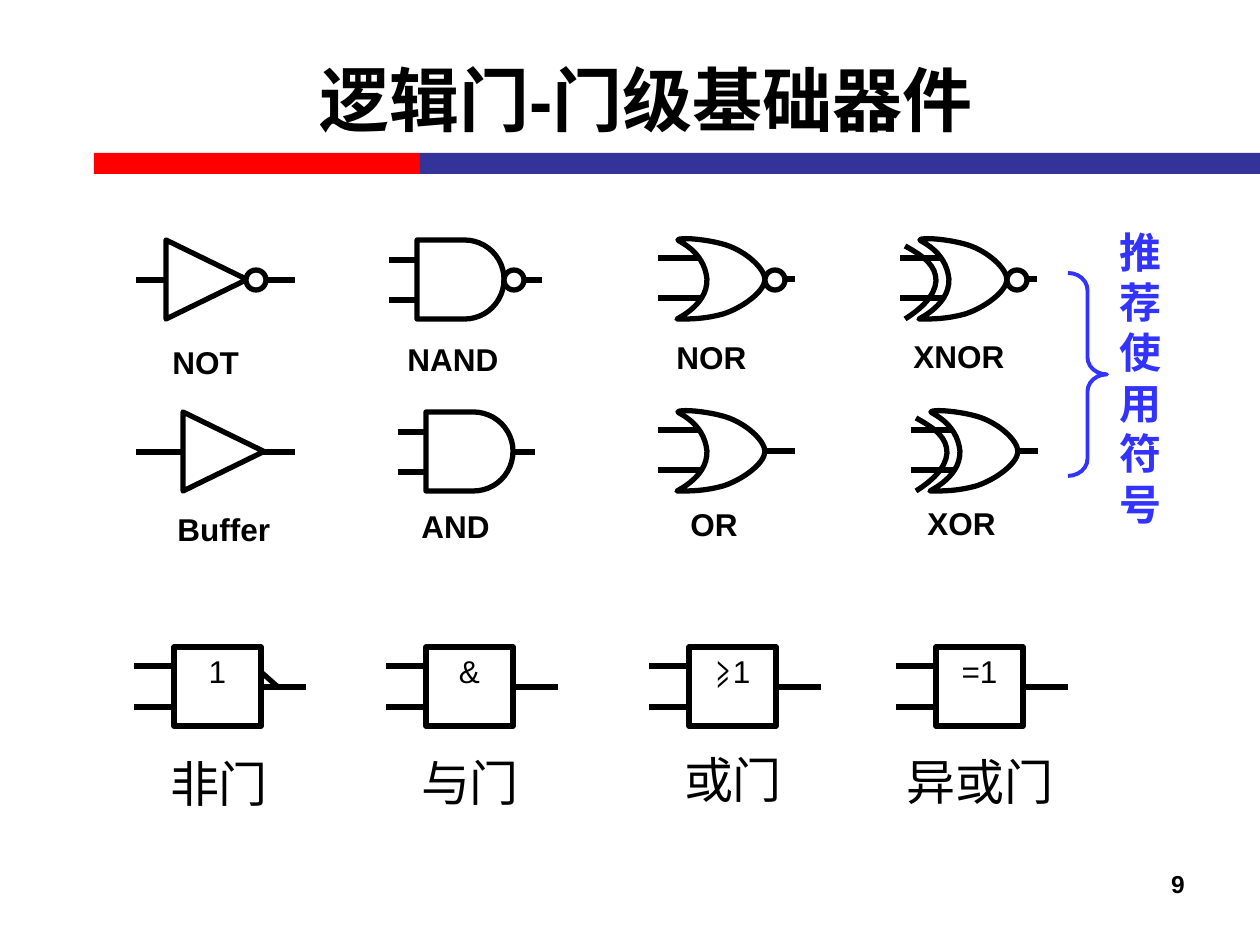
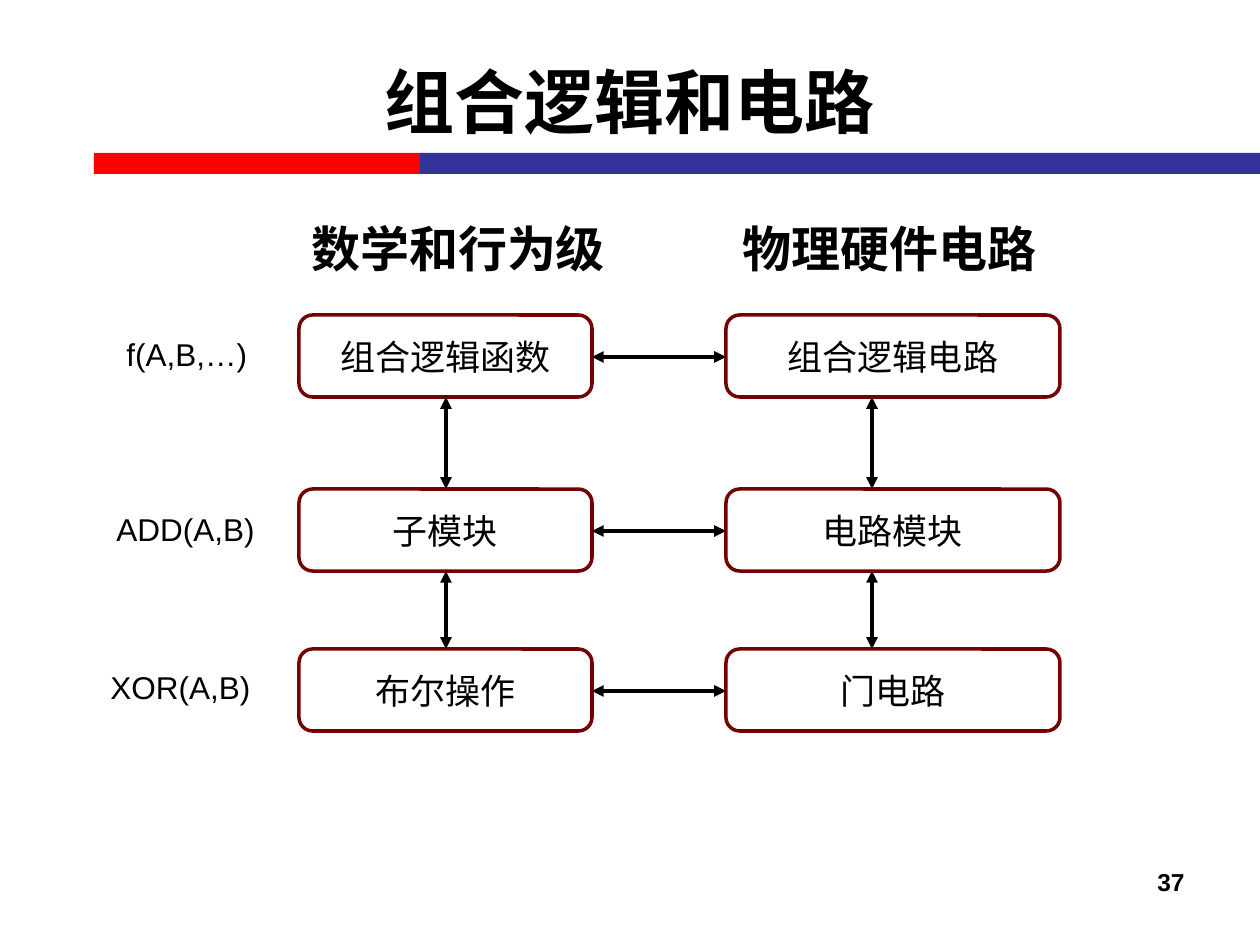
from lxml.etree import SubElement
from pptx import Presentation
from pptx.dml.color import RGBColor
from pptx.enum.shapes import MSO_CONNECTOR, MSO_SHAPE
from pptx.enum.text import MSO_ANCHOR, PP_ALIGN
from pptx.oxml.ns import qn
from pptx.util import Emu, Pt

EMU_PER_PX = 914400 / 126
BLACK, WHITE, RED, NAVY = "000000", "FFFFFF", "FF0000", "333399"
BLUE, MAROON = "3333FF", "740101"
LATIN, CHINESE = "Arial", "Noto Sans CJK SC"
GATE_W, GATE_H, BUBBLE = 87, 79, 20

OR_START = (0, 0)
OR_CURVES = [
    ((-1, 1), (26, 10), (29, 39)),
    ((30, 68), (-8, 81), (0, 79)),
    ((14, 79), (26, 79), (45, 74)),
    ((64, 68), (86, 52), (87, 40)),
    ((87, 28), (67, 11), (48, 5)),
    ((29, -1), (1, -3), (0, 0)),
]
XOR_START = (-15, 6)
XOR_CURVES = [((5, 17), (16, 26), (16, 41)), ((15, 56), (1, 69), (-15, 79))]


def px(length):
    return Emu(round(length * EMU_PER_PX))


def color(value):
    return RGBColor.from_string(value)


def style(shape, fill, line, width):
    shape.shadow.inherit = False
    if fill:
        shape.fill.solid()
        shape.fill.fore_color.rgb = color(fill)
    else:
        shape.fill.background()
    if line:
        shape.line.color.rgb = color(line)
        shape.line.width = Pt(width)
    else:
        shape.line.fill.background()
    return shape


def add_preset(slide, kind, x, y, w, h, fill=WHITE, line=BLACK, width=3):
    shape = slide.shapes.add_shape(kind, px(x), px(y), px(w), px(h))
    return style(shape, fill, line, width)


def add_turned(slide, kind, x, y, w, h):
    shift = (w - h) / 2
    shape = add_preset(slide, kind, x + shift, y - shift, h, w)
    shape.rotation = 90
    return shape


def add_wire(slide, x1, y1, x2, y2, width=3, arrows=False):
    wire = slide.shapes.add_connector(
        MSO_CONNECTOR.STRAIGHT, px(x1), px(y1), px(x2), px(y2))
    wire.line.color.rgb = color(BLACK)
    wire.line.width = Pt(width)
    if arrows:
        outline = wire.line._get_or_add_ln()
        for end in ("a:headEnd", "a:tailEnd"):
            SubElement(outline, qn(end)).set("type", "triangle")
    SubElement(wire._element.spPr, qn("a:effectLst"))


def add_curve(slide, x, y, start, curves, fill=None):
    def place(point):
        return px(x + point[0]), px(y + point[1])

    builder = slide.shapes.build_freeform(*place(start))
    builder.add_line_segments([place(curve[-1]) for curve in curves],
                              close=fill is not None)
    shape = style(builder.convert_to_shape(), fill, BLACK, 3)
    segments = list(shape._element.iter(qn("a:lnTo")))
    for segment, curve in zip(segments, curves):
        outline = segment.getparent()
        bend = SubElement(outline, qn("a:cubicBezTo"))
        for point in curve:
            left, top = place(point)
            node = SubElement(bend, qn("a:pt"))
            node.set("x", str(left - shape.left))
            node.set("y", str(top - shape.top))
        outline.replace(segment, bend)


def write(shape, text, size, font=LATIN, ink=BLACK, bold=False, chinese=False,
          align=PP_ALIGN.CENTER, anchor=MSO_ANCHOR.TOP, wrap=True):
    frame = shape.text_frame
    frame.word_wrap = wrap
    frame.vertical_anchor = anchor
    paragraph = frame.paragraphs[0]
    paragraph.alignment = align
    run = paragraph.add_run()
    run.text = text
    run.font.size = Pt(size)
    run.font.name = font
    run.font.bold = bold
    run.font.color.rgb = color(ink)
    if chinese:
        paragraph.line_spacing = Pt(round(size * 1.2, 1))
        SubElement(run.font._element, qn("a:ea")).set("typeface", CHINESE)


def add_text(slide, x, y, w, h, text, size, **options):
    box = slide.shapes.add_textbox(px(x), px(y), px(w), px(h))
    write(box, text, size, **options)


def add_label(slide, x, y, w, text, bold=False):
    add_text(slide, x, y, w, 50, text, 18, bold=bold,
             align=PP_ALIGN.LEFT, wrap=False)


def start_slide(prs, title, title_box, number, number_y):
    slide = prs.slides.add_slide(prs.slide_layouts[6])
    for x, w, fill in ((94, 326, RED), (420, 840, NAVY)):
        add_preset(slide, MSO_SHAPE.RECTANGLE, x, 153, w, 21, fill, None)
    add_text(slide, *title_box, title, 40, bold=True, chinese=True,
             anchor=MSO_ANCHOR.MIDDLE)
    add_text(slide, 903, number_y, 294, 64, number, 14, bold=True,
             align=PP_ALIGN.RIGHT)
    return slide


def add_bubble(slide, x, y):
    add_preset(slide, MSO_SHAPE.OVAL, x, y, BUBBLE, BUBBLE)


def add_inputs(slide, x1, x2, *heights):
    for y in heights:
        add_wire(slide, x1, y, x2, y)


def add_buffer_gate(slide, x, y, inverted):
    add_wire(slide, 136, y + 40, 295, y + 40)
    add_turned(slide, MSO_SHAPE.ISOSCELES_TRIANGLE, x, y, 81, GATE_H)
    if inverted:
        add_bubble(slide, x + 80, y + 30)


def add_and_gate(slide, x, y, end, inverted):
    add_wire(slide, x, y + 40, end, y + 40)
    body = add_turned(slide, MSO_SHAPE.ROUND_2_SAME_RECTANGLE,
                      x, y, GATE_W, GATE_H)
    body.adjustments[0] = 0.5
    body.adjustments[1] = 0
    if inverted:
        add_bubble(slide, x + GATE_W, y + 30)
    add_inputs(slide, x - 28, x, y + 20, y + 60)


def add_or_gate(slide, x, y, end, inverted, exclusive):
    add_wire(slide, x + GATE_W, y + 39, end, y + 39)
    add_inputs(slide, x - 20, x + 25, y + 18, y + 58)
    add_curve(slide, x, y, OR_START, OR_CURVES, WHITE)
    if inverted:
        add_bubble(slide, x + GATE_W, y + 30)
    if exclusive:
        add_curve(slide, x, y, XOR_START, XOR_CURVES)


def add_block_gate(slide, x, symbol, name, name_x, name_y):
    y = 647
    add_wire(slide, x + GATE_W, y + 40, x + 132, y + 40)
    block = add_turned(slide, MSO_SHAPE.RECTANGLE, x, y, GATE_W, GATE_H)
    frame = block.text_frame
    frame.margin_left = frame.margin_right = px(5)
    frame.margin_top = frame.margin_bottom = px(5)
    frame._txBody.bodyPr.set("vert", "vert270")
    write(block, symbol, 18)
    add_inputs(slide, x - 40, x, y + 19, y + 60)
    add_text(slide, name_x, name_y, 174, 72, name, 28, font=CHINESE,
             chinese=True)


def build_gates(prs):
    slide = start_slide(prs, "逻辑门-门级基础器件", (79, 20, 1134, 158), "9", 863)
    upper, lower = 240, 412
    add_buffer_gate(slide, 166, upper, True)
    add_buffer_gate(slide, 183, lower, False)
    add_and_gate(slide, 417, upper, 542, True)
    add_and_gate(slide, 426, lower, 535, False)
    add_or_gate(slide, 678, upper, 795, True, False)
    add_or_gate(slide, 678, lower, 795, False, False)
    add_or_gate(slide, 920, upper, 1037, True, True)
    add_or_gate(slide, 931, lower, 1038, False, True)

    for x, y, w, name in (
            (160, 337, 92, "NOT"), (395, 334, 117, "NAND"),
            (664, 332, 96, "NOR"), (901, 331, 117, "XNOR"),
            (165, 504, 120, "Buffer"), (409, 501, 95, "AND"),
            (678, 499, 73, "OR"), (915, 498, 95, "XOR")):
        add_label(slide, x, y, w, name, bold=True)

    brace = add_preset(slide, MSO_SHAPE.RIGHT_BRACE, 1068, 273, 39, 203,
                       None, BLUE, 2.25)
    brace.adjustments[0] = 0.437
    add_text(slide, 1089, 220, 103, 318, "推荐使用符号", 24, font=CHINESE,
             ink=BLUE, bold=True, chinese=True)

    for block in (
            (174, "1", "非门", 132, 747), (426, "&", "与门", 383, 746),
            (689, "⩾1", "或门", 646, 743), (936, "=1", "异或门", 893, 745)):
        add_block_gate(slide, *block)
    add_wire(slide, 261, 672, 278, 687)


def build_levels(prs):
    slide = start_slide(prs, "组合逻辑和电路", (126, 37, 1007, 128), "37", 861)
    behaviour_x, behaviour_w = 299, 293
    circuit_x, circuit_w = 726, 334
    level_h = 82
    levels = [
        (315, "组合逻辑函数", "组合逻辑电路", (114, 329, 147, "f(A,B,…)")),
        (489, "子模块", "电路模块", (104, 504, 165, "ADD(A,B)")),
        (649, "布尔操作", "门电路", (98, 662, 166, "XOR(A,B)")),
    ]
    for y, behaviour, circuit, example in levels:
        for x, w, text in ((behaviour_x, behaviour_w, behaviour),
                           (circuit_x, circuit_w, circuit)):
            level = add_preset(slide, MSO_SHAPE.ROUNDED_RECTANGLE,
                               x, y, w, level_h, WHITE, MAROON, 2)
            write(level, text, 20, anchor=MSO_ANCHOR.MIDDLE, chinese=True)
        add_wire(slide, behaviour_x + behaviour_w, y + 42,
                 circuit_x, y + 42, 2.25, True)
        add_label(slide, *example)
    for above, below in zip(levels, levels[1:]):
        for x in (446, 872):
            add_wire(slide, x, above[0] + level_h, x, below[0], 2.25, True)
    for x, heading in ((299, "数学和行为级"), (730, "物理硬件电路")):
        add_text(slide, x, 212, 324, 72, heading, 28, bold=True, chinese=True,
                 align=PP_ALIGN.LEFT, wrap=False)


def main():
    prs = Presentation()
    prs.slide_width, prs.slide_height = px(1260), px(945)
    build_gates(prs)
    build_levels(prs)
    prs.save("out.pptx")


if __name__ == "__main__":
    main()
